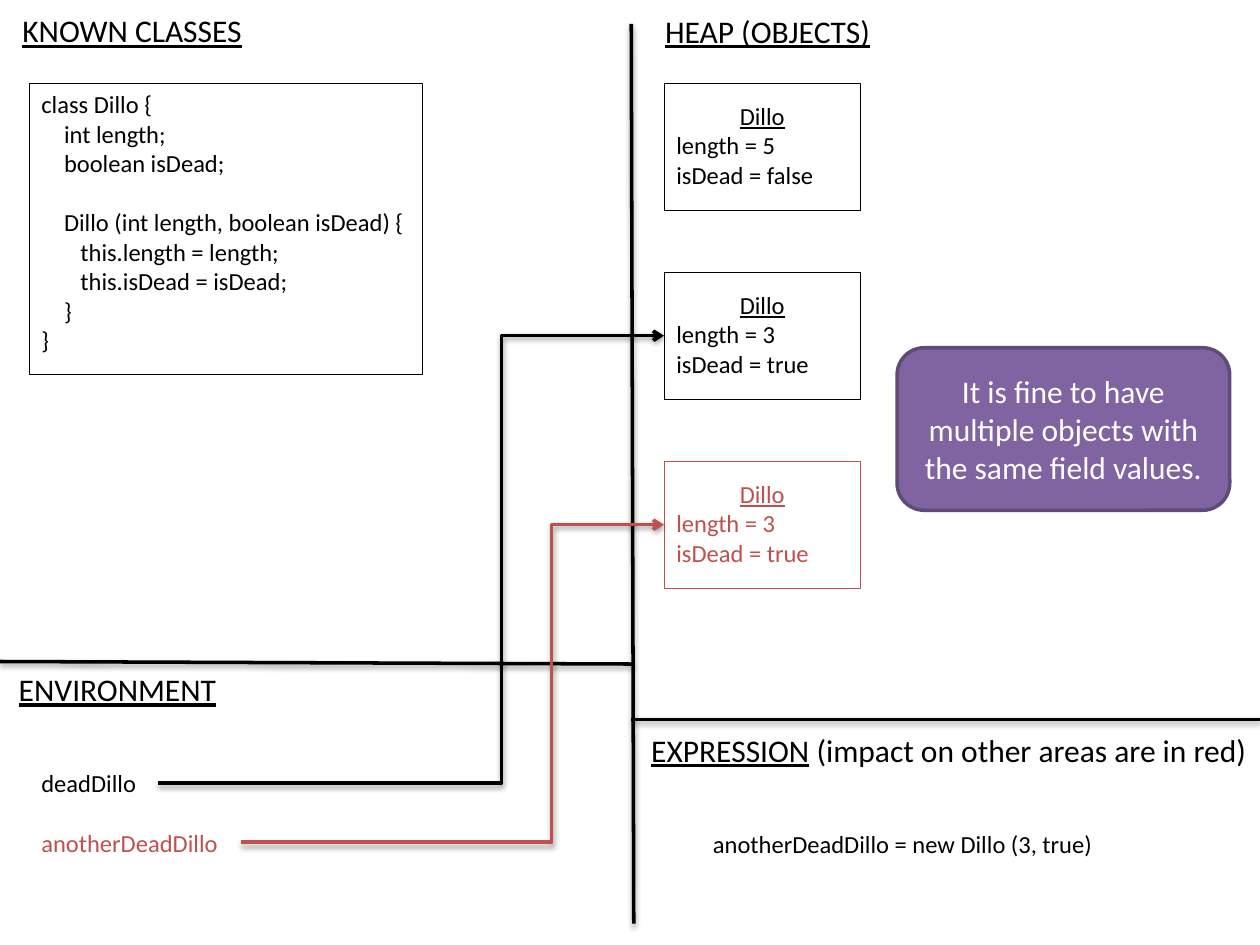
from dataclasses import dataclass
from typing import Optional

from lxml import etree
from pptx import Presentation
from pptx import util as u
from pptx.dml.color import RGBColor
from pptx.enum import shapes, text
from pptx.oxml import parse_xml
from pptx.oxml.ns import nsdecls, qn

BLACK = RGBColor(0x00, 0x00, 0x00)
RED = RGBColor(0xC0, 0x50, 0x4D)
PURPLE = RGBColor(0x80, 0x64, 0xA2)
DARK_PURPLE = RGBColor(0x5F, 0x4A, 0x78)
WHITE = RGBColor(0xFF, 0xFF, 0xFF)

WIDTH, HEIGHT = u.Inches(10), u.Inches(7.5)
HEADING, BODY = 18, 14
BOX_LEFT, BOX_TOP, BOX_PITCH = 52.7, 8.8, 20  # column of heap objects
BOX_WIDTH, BOX_HEIGHT = 15.6, 13.47
SHADOW = f"""<a:effectLst {nsdecls("a")}>
  <a:outerShdw blurRad="{u.Pt(3.1)}" dist="{u.Pt(1.6)}" dir="5400000" rotWithShape="0">
    <a:srgbClr val="000000"><a:alpha val="38000"/></a:srgbClr>
  </a:outerShdw>
</a:effectLst>"""


# All positions and sizes are percentages of the slide's width and height.
@dataclass
class Area:
    left: float
    top: float
    width: float
    height: float

    def emu(self) -> tuple:
        return (x(self.left), y(self.top), x(self.width), y(self.height))


@dataclass
class Heading:
    area: Area
    title: str
    note: str = ""


@dataclass
class Label:
    area: Area
    words: str
    color: RGBColor = BLACK
    drop: float = 0.05  # bottom inset in inches


@dataclass
class HeapObject:
    length: int
    is_dead: str
    color: RGBColor = BLACK


@dataclass
class Line:
    start: tuple
    end: tuple
    color: RGBColor = BLACK
    bend: Optional[float] = None  # share of the width where an arrow turns


def x(share: float) -> int:
    return round(WIDTH * share / 100)


def y(share: float) -> int:
    return round(HEIGHT * share / 100)


def style(p, size: int, color: RGBColor) -> None:
    p.font.name, p.font.size = "Calibri", u.Pt(size)
    p.font.color.rgb = color


def write(tf, lines: list, size: int, color: RGBColor) -> list:
    tf.text = "\n".join(lines)
    tf.word_wrap = True
    for p in tf.paragraphs:
        p.alignment = text.PP_ALIGN.LEFT
        style(p, size, color)
    return list(tf.paragraphs)


def draw_box(s, area: Area, line: RGBColor, weight: float = 0.5,
             kind=shapes.MSO_SHAPE.RECTANGLE):
    sp = s.shapes.add_shape(kind, *area.emu())
    sp.shadow.inherit = False
    sp.fill.background()
    sp.line.color.rgb, sp.line.width = line, u.Pt(weight)
    return sp


def draw_heading(s, h: Heading) -> None:
    tf = s.shapes.add_textbox(*h.area.emu()).text_frame
    tf.word_wrap = False
    tf.auto_size = text.MSO_AUTO_SIZE.SHAPE_TO_FIT_TEXT
    p = tf.paragraphs[0]
    style(p, HEADING, BLACK)
    r = p.add_run()
    r.text, r.font.underline = h.title, True
    if h.note:
        p.add_run().text = h.note


def draw_label(s, label: Label) -> None:
    tf = s.shapes.add_textbox(*label.area.emu()).text_frame
    tf.vertical_anchor = text.MSO_ANCHOR.MIDDLE
    tf.margin_bottom = u.Inches(label.drop)
    write(tf, [label.words], BODY, label.color)


def draw_object(s, row: int, obj: HeapObject) -> None:
    area = Area(BOX_LEFT, BOX_TOP + row * BOX_PITCH, BOX_WIDTH, BOX_HEIGHT)
    tf = draw_box(s, area, obj.color).text_frame
    tf.vertical_anchor = text.MSO_ANCHOR.MIDDLE
    tf.margin_bottom = u.Inches(0.08)
    lines = ["Dillo", f"length = {obj.length}", f"isDead = {obj.is_dead}"]
    name = write(tf, lines, BODY, obj.color)[0]
    name.alignment = text.PP_ALIGN.CENTER
    name.font.underline = True


def draw_class(s, area: Area, code: list) -> None:
    tf = draw_box(s, area, BLACK).text_frame
    tf.vertical_anchor = text.MSO_ANCHOR.TOP
    for p, (indent, line) in zip(write(tf, [c[1] for c in code], BODY, BLACK), code):
        p._p.get_or_add_pPr().set("marL", str(u.Inches(indent)))
        if line.startswith("Dillo"):
            p.space_before = u.Pt(17)  # one line apart from the fields


def draw_line(s, line: Line) -> None:
    kind = shapes.MSO_CONNECTOR.STRAIGHT if line.bend is None else shapes.MSO_CONNECTOR.ELBOW
    (x1, y1), (x2, y2) = line.start, line.end
    cx = s.shapes.add_connector(kind, x(x1), y(y1), x(x2), y(y2))
    cx.line.color.rgb, cx.line.width = line.color, u.Pt(2)
    props = cx._element.spPr
    if line.bend is not None:
        turn = round((line.bend - x1) / (x2 - x1) * 100000)
        guides = props.find(qn("a:prstGeom")).get_or_add_avLst()
        etree.SubElement(guides, qn("a:gd"), name="adj1", fmla=f"val {turn}")
        etree.SubElement(props.find(qn("a:ln")), qn("a:tailEnd"), type="arrow")
    props.append(parse_xml(SHADOW))


def draw_callout(s, area: Area, words: str) -> None:
    sp = draw_box(s, area, DARK_PURPLE, 2, shapes.MSO_SHAPE.ROUNDED_RECTANGLE)
    sp.fill.solid()
    sp.fill.fore_color.rgb = PURPLE
    sp.text_frame.vertical_anchor = text.MSO_ANCHOR.MIDDLE
    p = write(sp.text_frame, [words], HEADING, WHITE)[0]
    p.alignment = text.PP_ALIGN.CENTER


HEADINGS = [
    Heading(Area(0.8, 0.55, 19.7, 5.33), "KNOWN CLASSES"),
    Heading(Area(51.8, 0.6, 18.4, 5.33), "HEAP (OBJECTS)"),
    Heading(Area(0.5, 70.27, 17.8, 5.33), "ENVIRONMENT"),
    Heading(Area(50.7, 76.67, 49.8, 5.33), "EXPRESSION", " (impact on other areas are in red)"),
]
DIVIDERS = [
    Line((50.1, 2.53), (50.3, 97.73)),
    Line((0, 70), (50.3, 70.27)),
    Line((50.1, 76.13), (100, 76.13)),
]
CODE = [  # indent in inches, line
    (0, "class Dillo {"),
    (0.18, "int length;"),
    (0.18, "boolean isDead;"),
    (0.18, "Dillo (int length, boolean isDead) {"),
    (0.31, "this.length = length;"),
    (0.31, "this.isDead = isDead;"),
    (0.18, "}"),
    (0, "}"),
]
OBJECTS = [HeapObject(5, "false"), HeapObject(3, "true"), HeapObject(3, "true", RED)]
LABELS = [
    Label(Area(2.3, 79.73, 10.1, 6.27), "deadDillo"),
    Label(Area(2.3, 86, 16.8, 6.27), "anotherDeadDillo", RED),
    Label(Area(55.6, 82, 35.2, 15.33), "anotherDeadDillo = new Dillo (3, true)", drop=0.1),
]
FIRST_TARGET = BOX_TOP + BOX_HEIGHT / 2
ARROWS = [
    Line((12.5, 82.87), (BOX_LEFT, FIRST_TARGET + BOX_PITCH), BLACK, 39.8),
    Line((19.1, 89.13), (BOX_LEFT, FIRST_TARGET + 2 * BOX_PITCH), RED, 43.8),
]


def main() -> None:
    prs = Presentation()
    prs.slide_width, prs.slide_height = WIDTH, HEIGHT
    s = prs.slides.add_slide(prs.slide_layouts[6])
    # Four areas
    for heading in HEADINGS:
        draw_heading(s, heading)
    for divider in DIVIDERS:
        draw_line(s, divider)
    # Class, heap objects and names that refer to them
    draw_class(s, Area(2.3, 8.8, 31.2, 30.8), CODE)
    for row, obj in enumerate(OBJECTS):
        draw_object(s, row, obj)
    for label in LABELS:
        draw_label(s, label)
    for arrow in ARROWS:
        draw_line(s, arrow)
    # Remark
    draw_callout(s, Area(71.2, 36.8, 26.4, 17.2),
                 "It is fine to have multiple objects with the same field values.")
    prs.save("out.pptx")


if __name__ == "__main__":
    main()
